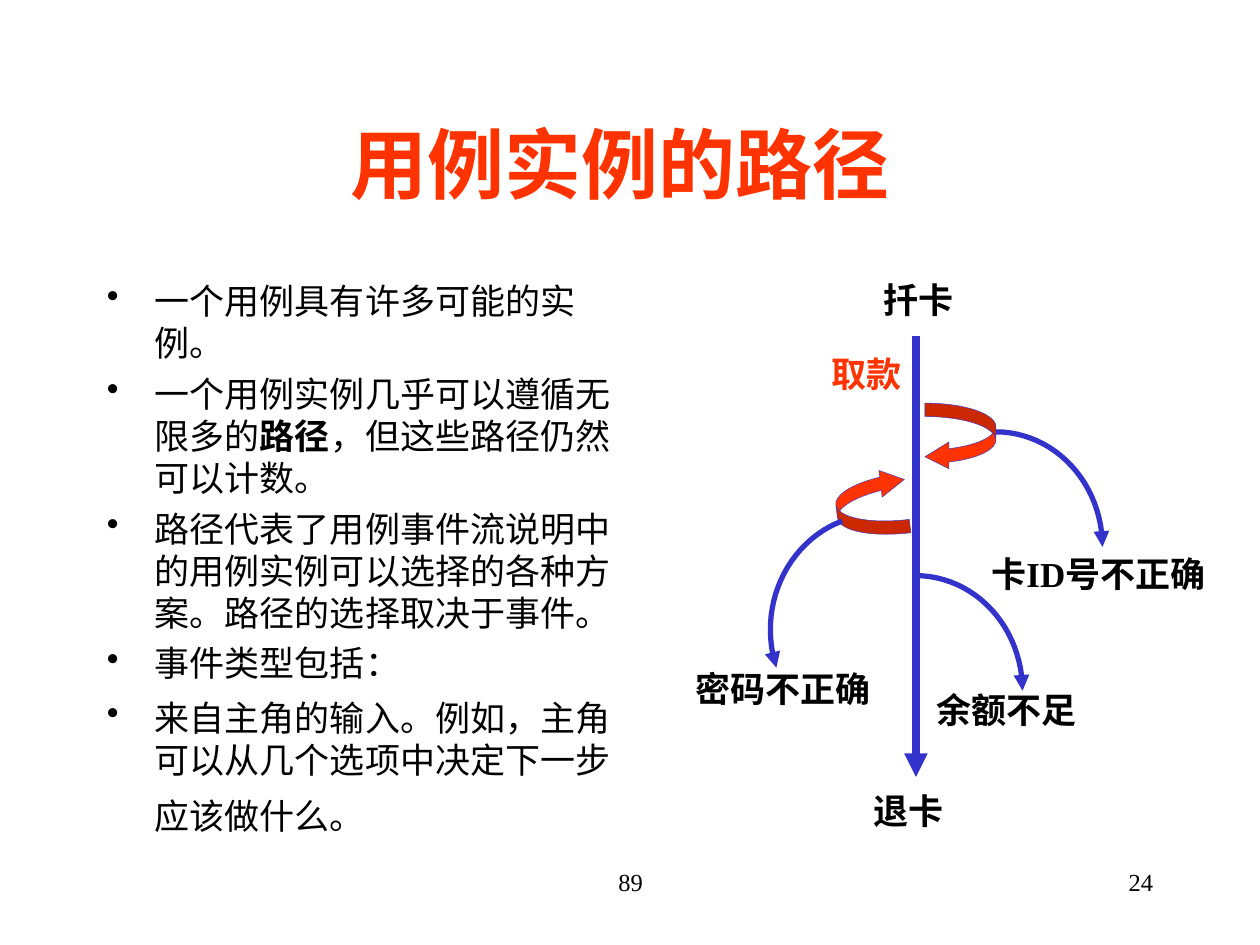
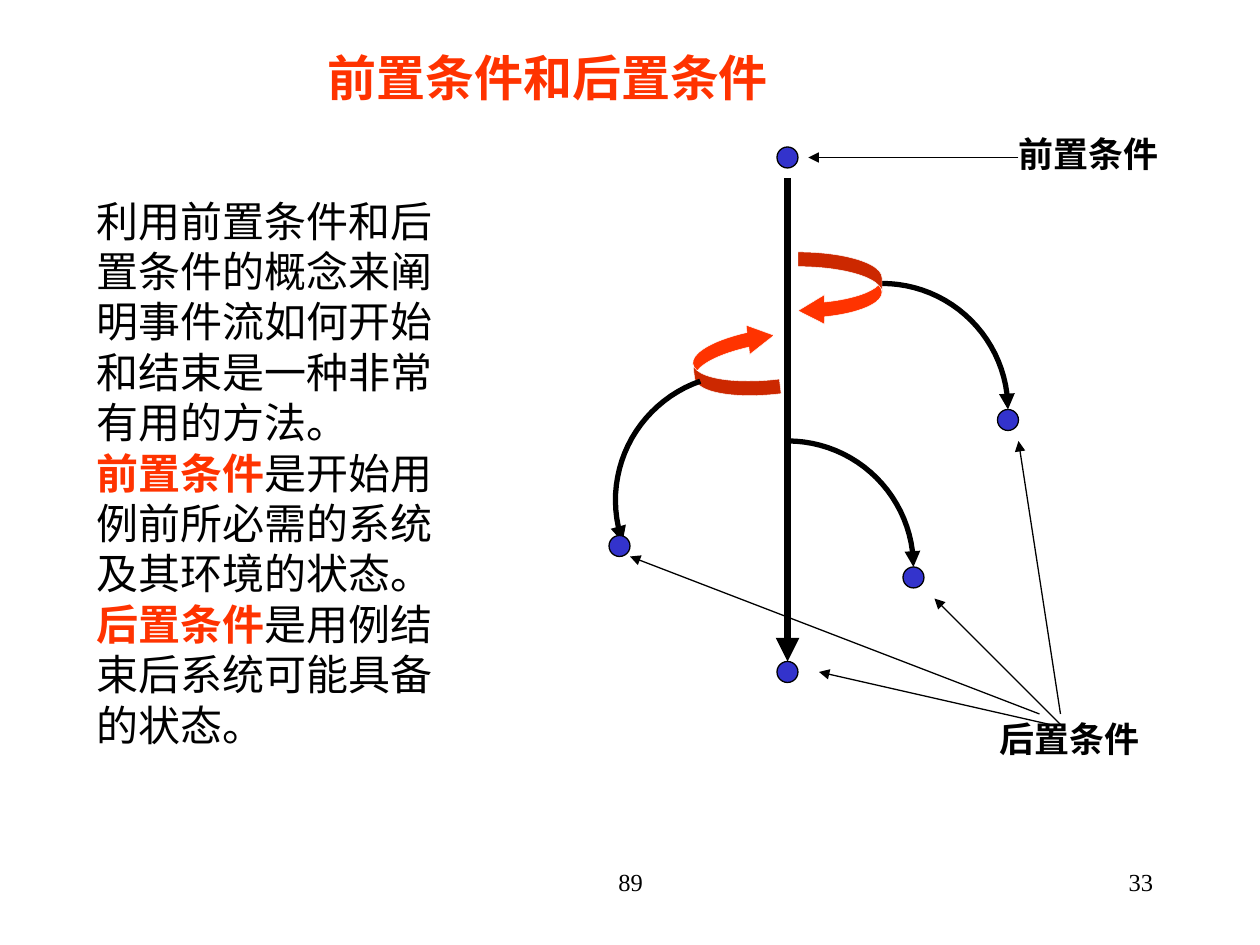
import math
from dataclasses import dataclass

from pptx import Presentation
from pptx import util as u
from pptx.dml.color import RGBColor
from pptx.enum import shapes, text
from pptx.oxml.ns import qn
from lxml import etree


@dataclass(frozen=True)
class Theme:
    """Colours, fonts and type sizes that the slides share."""
    ink: str = "000000"
    red: str = "FF3300"
    blue: str = "3333CC"
    white: str = "FFFFFF"
    latin: str = "Times New Roman"
    asian: str = "Noto Sans CJK SC"
    title: int = 44
    heading: int = 28
    lead: int = 24
    body: int = 20
    footer: int = 14


T = Theme()
ALIGN = text.PP_ALIGN
COLS, ROWS = 39, 46


@dataclass(frozen=True)
class Grid:
    """A box in inches, split into the columns and rows of the flow diagram."""
    left: float
    top: float
    width: float
    height: float

    def at(self, col, row):
        """Return the slide position of a grid point."""
        return (u.Inches(self.left + col * self.width / COLS),
                u.Inches(self.top + row * self.height / ROWS))

    def box(self, col, row, cols, rows):
        """Return left, top, width and height of a block of cells."""
        x, y = self.at(col, row)
        right, bottom = self.at(col + cols, row + rows)
        return x, y, right - x, bottom - y


def rgb(value):
    """Turn a hex string into a colour."""
    return RGBColor.from_string(value)


def write(p, runs, size, align=ALIGN.LEFT):
    """Fill a paragraph with (text, colour, bold) runs."""
    p.alignment = align
    p.space_before = u.Pt(0)
    p._p.get_or_add_pPr().set("hangingPunct", "0")
    for words, color, bold in runs:
        r = p.add_run()
        r.text = words
        r.font.size, r.font.bold, r.font.name = u.Pt(size), bold, T.latin
        r.font.color.rgb = rgb(color)
        etree.SubElement(r._r.rPr, qn("a:ea"), typeface=T.asian)


def add_text(slide, box, paragraphs, size, align=ALIGN.LEFT):
    """Add a text box, given in inches, and return its frame."""
    tf = slide.shapes.add_textbox(*map(u.Inches, box)).text_frame
    tf.word_wrap = True
    for i, runs in enumerate(paragraphs):
        p = tf.add_paragraph() if i else tf.paragraphs[0]
        write(p, runs, size, align)
    return tf


def add_bullets(slide, box, paragraphs):
    """Add a bulleted list with hanging indents and return its frame."""
    tf = add_text(slide, box, paragraphs, T.body)
    for p in tf.paragraphs:
        p.space_before = u.Pt(5)
        pPr = p._p.get_or_add_pPr()
        pPr.set("marL", str(u.Inches(0.38)))
        pPr.set("indent", str(-u.Inches(0.38)))
        etree.SubElement(pPr, qn("a:buChar"), char="•")
    return tf


def add_slide(prs, title, box, size, align, anchor, number):
    """Add a slide with its title and footer numbers."""
    slide = prs.slides.add_slide(prs.slide_layouts[5])
    sp = slide.shapes.title
    sp.left, sp.top, sp.width, sp.height = map(u.Inches, box)
    tf = sp.text_frame
    tf.word_wrap, tf.vertical_anchor = True, anchor
    write(tf.paragraphs[0], [(title, T.red, True)], size, align)
    add_text(slide, (3.42, 6.83, 3.17, 0.5), [[("89", T.ink, False)]],
             T.footer, ALIGN.CENTER)
    add_text(slide, (7.17, 6.83, 2.08, 0.5), [[(number, T.ink, False)]],
             T.footer, ALIGN.RIGHT)
    return slide


def style_line(sp, color, width):
    """Give a line its colour, width and end arrowhead."""
    sp.line.color.rgb = rgb(color)
    sp.line.width = u.Pt(width)
    ln = sp._element.spPr.find(qn("a:ln"))
    etree.SubElement(ln, qn("a:tailEnd"), type="triangle")


def add_arrow(slide, grid, start, end, color, width):
    """Add a straight arrow between two grid points."""
    c = slide.shapes.add_connector(shapes.MSO_CONNECTOR.STRAIGHT,
                                   *grid.at(*start), *grid.at(*end))
    style_line(c, color, width)
    etree.SubElement(c._element.spPr, qn("a:effectLst"))


def add_branch(slide, grid, center, start, end, color):
    """Add a quarter-ellipse arrow around a centre."""
    points = []
    for step in range(25):
        t = math.pi / 2 * step / 24
        points.append(grid.at(*(c + (s - c) * math.cos(t) + (e - c) * math.sin(t)
                                for c, s, e in zip(center, start, end))))
    fb = slide.shapes.build_freeform(*points[0])
    fb.add_line_segments(points[1:], close=False)
    sp = fb.convert_to_shape()
    sp.shadow.inherit = False
    sp.fill.background()
    style_line(sp, color, 3)


def add_loop(slide, box, rotation, outline):
    """Add a curved block arrow that turns back to the main flow."""
    sp = slide.shapes.add_shape(shapes.MSO_SHAPE.CURVED_LEFT_ARROW, *box)
    for i, value in enumerate((0.2, 0.4, 0.36)):
        sp.adjustments[i] = value
    sp.rotation = rotation
    sp.shadow.inherit = False
    sp.fill.solid()
    sp.fill.fore_color.rgb = rgb(T.red)
    sp.line.color.rgb = rgb(outline)
    sp.line.width = u.Pt(0.25)


def add_flow(slide, grid, color, outline):
    """Add the main flow with its loops and branches."""
    add_branch(slide, grid, (27, 22), (27, 10), (39, 22), color)
    add_loop(slide, grid.box(19, 7, 8, 7), 0, outline)
    add_loop(slide, grid.box(9, 14, 8, 7), 173, outline)
    add_branch(slide, grid, (18, 37), (18, 25), (30, 37), color)
    add_branch(slide, grid, (13.7, 30.6), (9.7, 19.3), (2.3, 34.6), color)
    add_arrow(slide, grid, (18, 0), (18, ROWS), color, 4.5)


def add_states(slide, grid):
    """Add a dot at each start and end state of the flow."""
    for col, row in ((18, -2), (39, 23), (30, 38), (2, 35), (18, 47)):
        sp = slide.shapes.add_shape(shapes.MSO_SHAPE.OVAL,
                                    *grid.box(col - 1, row - 1, 2, 2))
        sp.shadow.inherit = False
        sp.fill.solid()
        sp.fill.fore_color.rgb = rgb(T.blue)
        sp.line.color.rgb = rgb(T.ink)
        sp.line.width = u.Pt(0.75)


def add_labels(slide, grid, labels):
    """Add bold labels at grid points."""
    for words, col, row, color in labels:
        x, y = grid.at(col, row)
        box = (x.inches, y.inches, 0.28 * len(words) + 0.24, 0.44)
        add_text(slide, box, [[(words, color, True)]], T.body)


def build_paths(prs):
    """Build the slide on the paths of a use case instance."""
    slide = add_slide(prs, "用例实例的路径", (0.67, 0.67, 8.5, 1.25), T.title,
                      ALIGN.CENTER, text.MSO_ANCHOR.MIDDLE, "24")
    tf = add_bullets(slide, (0.75, 2.17, 4.33, 4.5), [
        [("一个用例具有许多可能的实例。", T.ink, False)],
        [("一个用例实例几乎可以遵循无限多的", T.ink, False),
         ("路径", T.ink, True),
         ("，但这些路径仍然可以计数。", T.ink, False)],
        [("路径代表了用例事件流说明中的用例实例可以选择的各种方案。"
          "路径的选择取决于事件。", T.ink, False)],
        [("事件类型包括：", T.ink, False)],
        [("来自主角的输入。例如，主角可以从几个选项中决定下一步应该做什么。",
          T.ink, False), (" ", T.ink, False)],
    ])
    p = tf.paragraphs[-1]
    p.space_before = u.Pt(7)
    p.runs[-1].font.size = u.Pt(T.heading)
    grid = Grid(6, 8 / 3, 2.75, 3.5)
    add_flow(slide, grid, T.blue, T.blue)
    add_labels(slide, grid, [
        ("扦卡", 13, -6.6, T.ink),
        ("退卡", 11.8, 46.7, T.ink),
        ("取款", 7.1, 1.1, T.red),
        ("余额不足", 18.9, 36.1, T.ink),
        ("密码不正确", -8.2, 33.9, T.ink),
        ("卡ID号不正确", 25.1, 21.9, T.ink),
    ])


def build_conditions(prs):
    """Build the slide on preconditions and postconditions."""
    slide = add_slide(prs, "前置条件和后置条件", (2.5, 0.33, 4.67, 0.57), T.heading,
                      ALIGN.LEFT, text.MSO_ANCHOR.TOP, "33")
    grid = Grid(4.75, 17 / 12, COLS / 12, ROWS / 12)
    add_flow(slide, grid, T.ink, T.white)
    add_states(slide, grid)
    add_text(slide, (0.67, 1.5, 3.02, 4.5), [
        [("利用前置条件和后置条件的概念来阐明事件流如何开始和结束是一种非常有用的方法。",
          T.ink, False)],
        [("前置条件", T.red, True),
         ("是开始用例前所必需的系统及其环境的状态。", T.ink, False),
         ("后置条件", T.red, True),
         ("是用例结束后系统可能具备的状态。", T.ink, False)],
    ], T.lead)
    add_labels(slide, grid, [("后置条件", 37, 50.7, T.ink),
                             ("前置条件", 38.8, -5, T.ink)])
    for start, end in (((44, 51), (40, 25)), ((44, 52), (32, 40)),
                       ((43, 52), (21, 47)), ((42, 51), (3, 36)),
                       ((40, -2), (20, -2))):
        add_arrow(slide, grid, start, end, T.ink, 0.75)


def main():
    """Build and save the presentation."""
    prs = Presentation()
    prs.slide_width, prs.slide_height = u.Inches(10), u.Inches(7.5)
    build_paths(prs)
    build_conditions(prs)
    prs.save("out.pptx")


if __name__ == "__main__":
    main()
